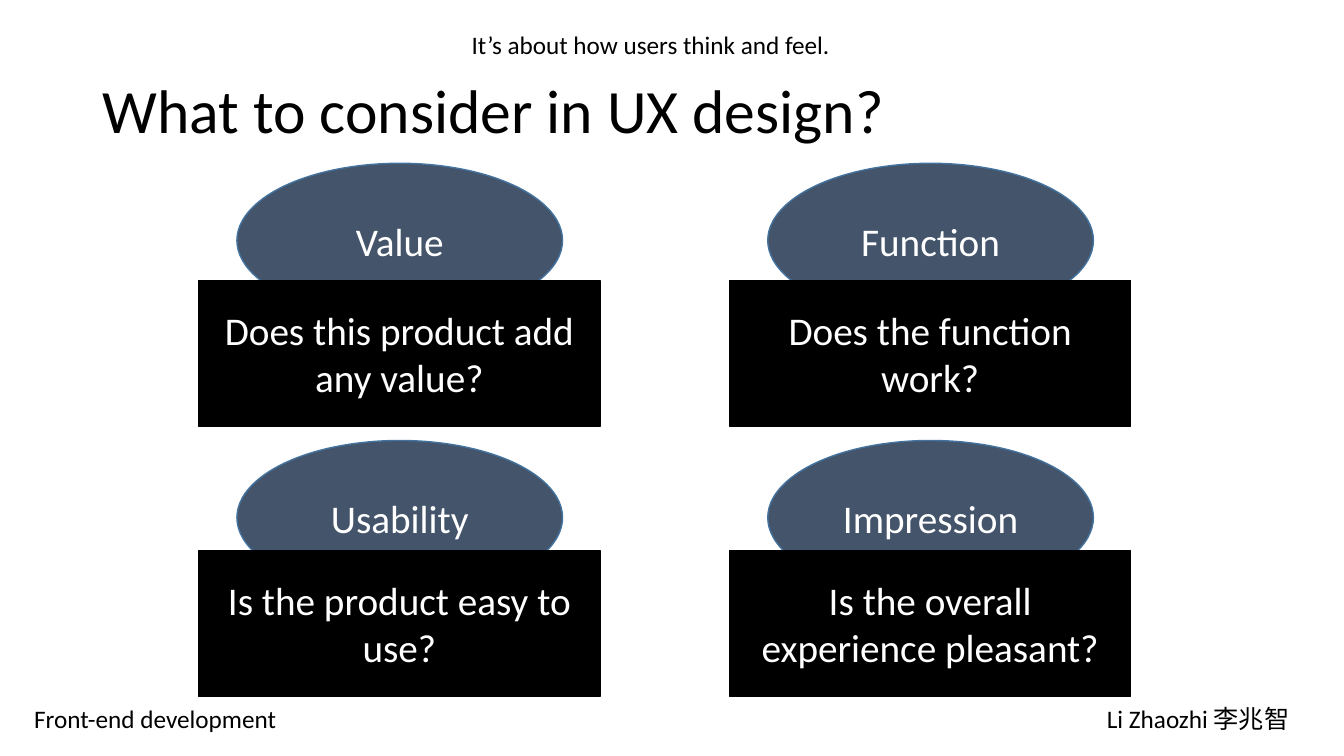
from dataclasses import dataclass

from pptx import Presentation
from pptx.dml.color import RGBColor
from pptx.enum.shapes import MSO_SHAPE
from pptx.enum.text import MSO_ANCHOR, PP_ALIGN
from pptx.shapes.autoshape import Shape
from pptx.slide import Slide
from pptx.text.text import TextFrame
from pptx.util import Inches, Pt


@dataclass(frozen=True)
class Theme:
    font: str = "Calibri"
    black: str = "000000"
    white: str = "FFFFFF"
    slate: str = "44546A"
    outline: str = "43739E"
    title_size: int = 44
    card_size: int = 28
    note_size: int = 18


@dataclass(frozen=True)
class Topic:
    name: str
    question: str
    col: int
    row: int


@dataclass(frozen=True)
class Note:
    text: str
    left: float
    top: float
    width: float
    height: float


THEME = Theme()
TOPICS = [
    Topic("Value", "Does this product add any value?", 0, 0),
    Topic("Function", "Does the function work?", 1, 0),
    Topic("Usability", "Is the product easy to use?", 0, 1),
    Topic("Impression", "Is the overall experience pleasant?", 1, 1),
]
NOTES = [
    Note("Front-end development", 0.24, 6.93, 2.74, 0.47),
    Note("Li Zhaozhi 李兆智", 10.88, 6.93, 2.28, 0.47),
    Note("It’s about how users think and feel.", 4.58, 0.24, 4.44, 0.4),
]
COLUMN_STEP = 5.265


def write(tf: TextFrame, text: str, *, size: int, color: str = THEME.black,
          align: PP_ALIGN = PP_ALIGN.LEFT, anchor: MSO_ANCHOR = MSO_ANCHOR.TOP,
          spacing: float = 1.0) -> None:
    tf.word_wrap = True
    tf.vertical_anchor = anchor
    p = tf.paragraphs[0]
    p.alignment = align
    p.line_spacing = spacing
    r = p.add_run()
    r.text = text
    r.font.name = THEME.font
    r.font.size = Pt(size)
    r.font.color.rgb = RGBColor.from_string(color)


def place(sp: Shape, left: float, top: float, width: float, height: float) -> None:
    sp.left, sp.top = Inches(left), Inches(top)
    sp.width, sp.height = Inches(width), Inches(height)


def add_card(s: Slide, kind: MSO_SHAPE, text: str, left: float, top: float,
             width: float, height: float, fill: str, line: str) -> None:
    sp = s.shapes.add_shape(kind, Inches(left), Inches(top), Inches(width), Inches(height))
    sp.shadow.inherit = False
    sp.fill.solid()
    sp.fill.fore_color.rgb = RGBColor.from_string(fill)
    sp.line.color.rgb = RGBColor.from_string(line)
    sp.line.width = Pt(1)
    write(sp.text_frame, text, size=THEME.card_size, color=THEME.white,
          align=PP_ALIGN.CENTER, anchor=MSO_ANCHOR.MIDDLE)


def add_topic_name(s: Slide, topic: Topic) -> None:
    add_card(s, MSO_SHAPE.OVAL, topic.name, 2.35 + topic.col * COLUMN_STEP,
             1.62 + topic.row * 2.75, 3.23, 1.53, THEME.slate, THEME.outline)


def add_topic_question(s: Slide, topic: Topic) -> None:
    add_card(s, MSO_SHAPE.RECTANGLE, topic.question, 1.97 + topic.col * COLUMN_STEP,
             2.78 + topic.row * 2.68, 3.98, 1.45, THEME.black, THEME.black)


def add_note(s: Slide, note: Note) -> None:
    sp = s.shapes.add_textbox(0, 0, 0, 0)
    place(sp, note.left, note.top, note.width, note.height)
    write(sp.text_frame, note.text, size=THEME.note_size)


def main() -> None:
    prs = Presentation()
    prs.slide_width, prs.slide_height = Inches(13.33), Inches(7.5)
    s = prs.slides.add_slide(prs.slide_layouts[5])
    title = s.shapes.title
    place(title, 0.92, 0.4, 11.5, 1.45)
    write(title.text_frame, "What to consider in UX design?", size=THEME.title_size,
          anchor=MSO_ANCHOR.MIDDLE, spacing=0.9)
    for topic in TOPICS:
        add_topic_name(s, topic)
    for topic in TOPICS:
        add_topic_question(s, topic)
    for note in NOTES:
        add_note(s, note)
    prs.save("out.pptx")


if __name__ == "__main__":
    main()
